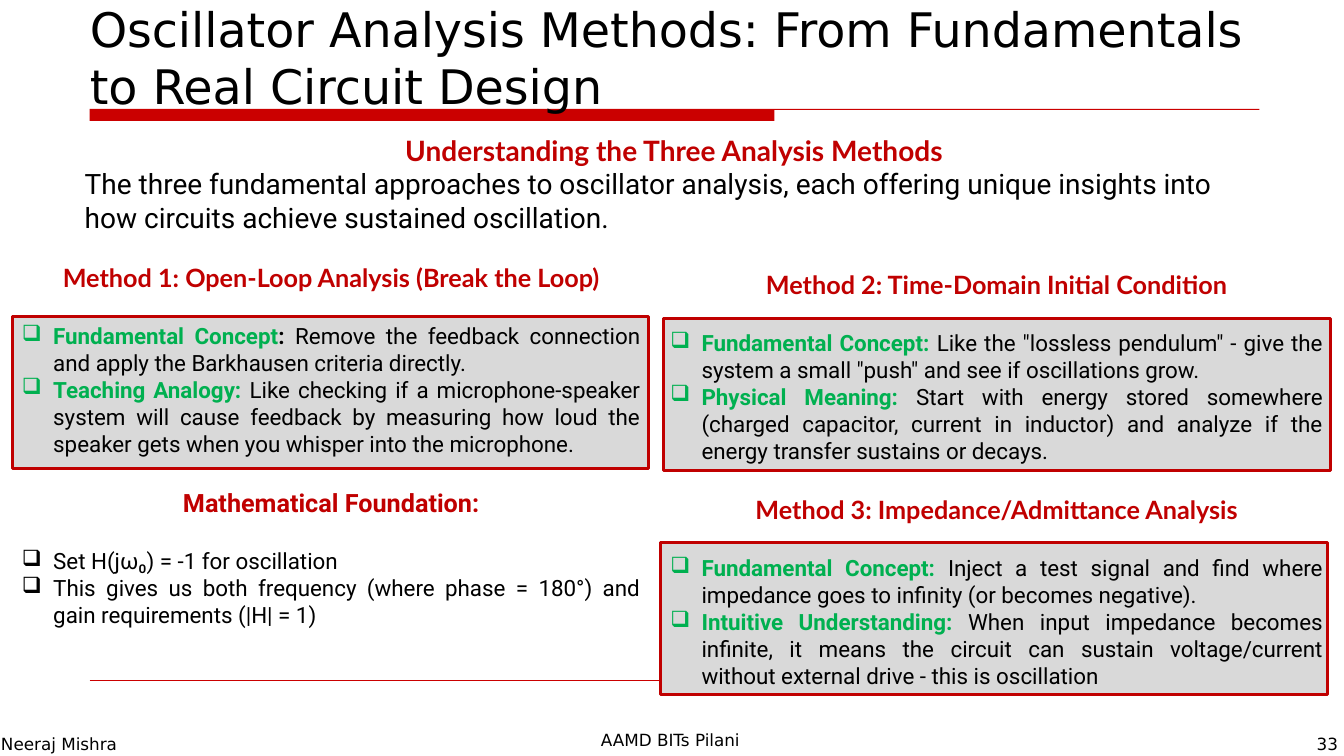
from lxml import etree
from pptx import Presentation
from pptx.dml.color import RGBColor
from pptx.enum.shapes import MSO_CONNECTOR, MSO_SHAPE
from pptx.enum.text import PP_ALIGN
from pptx.oxml.ns import qn
from pptx.util import Pt

PX = 9144
RECT = MSO_SHAPE.RECTANGLE
STRAIGHT = MSO_CONNECTOR.STRAIGHT
LEFT, CENTER, JUSTIFY = PP_ALIGN.LEFT, PP_ALIGN.CENTER, PP_ALIGN.JUSTIFY
RED, BRAND_RED, GREEN, BLACK, GREY = "C00000", "CB0000", "00B050", "000000", "D9D9D9"
SANS, LATO, ROBOTO = "DejaVu Sans", "Lato", "Roboto"
GAP, HANG = 21.6, 31

TITLE = "Oscillator Analysis Methods: From Fundamentals to Real Circuit Design"
SUBTITLE = "Understanding the Three Analysis Methods"
INTRO = ("The three fundamental approaches to oscillator analysis, each offering "
         "unique insights into how circuits achieve sustained oscillation.")

FOOTERS = [
    ("AAMD BITs Pilani", (596, 724, 154, 26)),
    ("Neeraj Mishra", (1, 728, 118, 22)),
    ("33", (1306, 728, 27, 22)),
]

PANELS = [(655, 538, 662, 151), (658, 316, 662, 151), (12, 314, 631, 151)]

BAR = [(89, 108), (1249, 108), (1249, 109), (768, 109), (768, 120), (89, 120)]

COLUMNS = [
    ((12, 255, 633, 377), [
        ("Method 1: Open-Loop Analysis (Break the Loop)", LATO, [
            ("Fundamental Concept", ": ",
             "Remove the feedback connection and apply the Barkhausen criteria directly."),
            ("Teaching Analogy: ", "",
             "Like checking if a microphone-speaker system will cause feedback by "
             "measuring how loud the speaker gets when you whisper into the microphone."),
        ]),
        ("Mathematical Foundation:", ROBOTO, [
            ("", "", "Set H(jω₀) = -1 for oscillation"),
            ("", "", "This gives us both frequency (where phase = 180°) and gain "
                     "requirements (|H| = 1)"),
        ]),
    ]),
    ((655, 262, 667, 431), [
        ("Method 2: Time-Domain Initial Condition", LATO, [
            ("Fundamental Concept: ", "",
             'Like the "lossless pendulum" - give the system a small "push" and see '
             "if oscillations grow."),
            ("Physical Meaning: ", "",
             "Start with energy stored somewhere (charged capacitor, current in "
             "inductor) and analyze if the energy transfer sustains or decays."),
        ]),
        ("Method 3: Impedance/Admittance Analysis", LATO, [
            ("Fundamental Concept: ", "",
             "Inject a test signal and find where impedance goes to infinity "
             "(or becomes negative)."),
            ("Intuitive Understanding: ", "",
             "When input impedance becomes infinite, it means the circuit can sustain "
             "voltage/current without external drive - this is oscillation"),
        ]),
    ]),
]


def rgb(value):
    return RGBColor.from_string(value)


def scaled(box):
    return [v * PX for v in box]


def add_box(box, inset=(0, 0), wrap=True):
    tf = s.shapes.add_textbox(*scaled(box)).text_frame
    tf.word_wrap = wrap
    tf.margin_left = tf.margin_right = inset[0] * PX
    tf.margin_top = tf.margin_bottom = inset[1] * PX
    return tf


def add_paragraph(tf, align=LEFT, before=0, after=0, bullet=None):
    first = tf.paragraphs[0]
    p = tf.add_paragraph() if first.runs else first
    p.alignment = align
    p.space_before, p.space_after = Pt(before), Pt(after)
    if bullet:
        pPr = p._p.get_or_add_pPr()
        pPr.set("marL", str(HANG * PX))
        pPr.set("indent", str(-HANG * PX))
        etree.SubElement(pPr, qn("a:buChar")).set("char", bullet)
    return p


def add_text(p, text, size=16, font=ROBOTO, color=BLACK, bold=False):
    r = p.add_run()
    r.text = text
    r.font.size, r.font.name, r.font.bold = Pt(size), font, bold
    r.font.color.rgb = rgb(color)


def paint(sp, fill, line=None):
    sp.shadow.inherit = False
    sp.fill.solid()
    sp.fill.fore_color.rgb = rgb(fill)
    if line:
        sp.line.color.rgb = rgb(line)
        sp.line.width = Pt(2)
    else:
        sp.line.fill.background()


prs = Presentation()
prs.slide_width, prs.slide_height = 1333 * PX, 750 * PX
s = prs.slides.add_slide(prs.slide_layouts[6])

outline = s.shapes.build_freeform(*BAR[0], scale=PX)
outline.add_line_segments(BAR[1:], close=True)
paint(outline.convert_to_shape(), BRAND_RED)

rule = s.shapes.add_connector(STRAIGHT, *scaled((89, 675, 1244, 675)))
rule.line.color.rgb = rgb(BRAND_RED)
rule.line.width = Pt(0.25)
etree.SubElement(rule._element.spPr, qn("a:effectLst"))

for panel in PANELS:
    paint(s.shapes.add_shape(RECT, *scaled(panel)), GREY, RED)

title = add_paragraph(add_box((89, 0, 1158, 114)))
add_text(title, TITLE, size=34, font=SANS)

tf = add_box((84, 132, 1169, 101))
add_text(add_paragraph(tf, CENTER), SUBTITLE, size=20, font=LATO, color=RED, bold=True)
add_text(add_paragraph(tf), INTRO, size=20)

for text, box in FOOTERS:
    add_text(add_paragraph(add_box(box, wrap=False)), text, size=12, font=SANS)

for box, sections in COLUMNS:
    tf = add_box(box, inset=(10, 5))
    for i, (heading, font, items) in enumerate(sections):
        p = add_paragraph(tf, CENTER, before=GAP if i else 0, after=GAP)
        add_text(p, heading, size=18, font=font, color=RED, bold=True)
        for label, mark, body in items:
            p = add_paragraph(tf, JUSTIFY, bullet="❑")
            if label:
                add_text(p, label, color=GREEN, bold=True)
            if mark:
                add_text(p, mark, bold=True)
            add_text(p, body)

prs.save("out.pptx")
